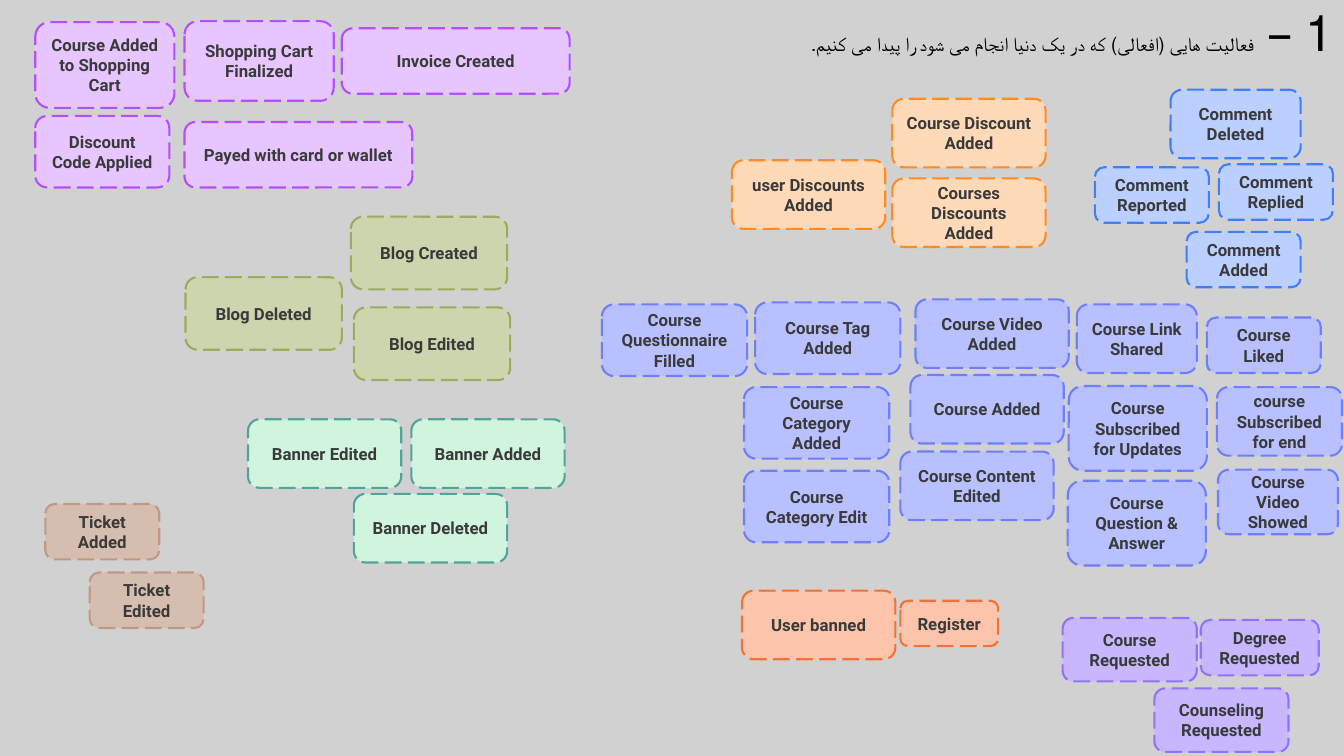
from dataclasses import dataclass

from pptx import Presentation
from pptx.dml.color import RGBColor
from pptx.enum.dml import MSO_LINE
from pptx.enum.shapes import MSO_SHAPE
from pptx.enum.text import MSO_ANCHOR, PP_ALIGN
from pptx.util import Inches, Pt


@dataclass(frozen=True)
class Theme:
    background: str = "D1D1D1"
    note_text: str = "3A3A3A"
    title_text: str = "000000"
    note_font: str = "Roboto"
    title_font: str = "Calibri"
    note_size: int = 12
    number_size: int = 36
    title_size: int = 14
    outline_width: float = 1.5
    # Each pair is fill, outline
    checkout: tuple = ("E7C6FF", "B44FFF")
    blog: tuple = ("CCD5AE", "9AAC60")
    banner: tuple = ("D0F4DE", "52A49A")
    ticket: tuple = ("D5BDAF", "BE9984")
    discount: tuple = ("FFDAB9", "FF8B21")
    comment: tuple = ("BBD0FF", "437DFF")
    course: tuple = ("B8C0FF", "6D7EFF")
    user: tuple = ("FBC4AB", "F67136")
    request: tuple = ("C8B6FF", "9371FF")


THEME = Theme()

# Note sizes shared by several notes: width, height
COMPACT = (1.13, 0.55)
REQUEST = (1.33, 0.63)
MEDIUM = (1.44, 0.71)
LARGE = (1.52, 0.68)
BLOG = (1.55, 0.72)
TALL = (1.37, 0.84)
WIDE = (2.26, 0.65)

# Each cluster: colours, (left, top), notes as (text, x offset, y offset, size)
CLUSTERS = [
    (THEME.checkout, (0.35, 0.21), [
        ("Course Added to Shopping Cart", 0, 0.01, (1.38, 0.85)),
        ("Shopping Cart Finalized", 1.48, 0, (1.48, 0.79)),
        ("Invoice Created", 3.04, 0.07, WIDE),
        ("Discount Code Applied", 0, 0.94, (1.33, 0.71)),
        ("Payed with card or wallet", 1.48, 1, WIDE),
    ]),
    (THEME.blog, (1.84, 2.15), [
        ("Blog Created", 1.64, 0, BLOG),
        ("Blog Edited", 1.67, 0.9, BLOG),
        ("Blog Deleted", 0, 0.6, BLOG),
    ]),
    (THEME.banner, (2.46, 4.16), [
        ("Banner Added", 1.62, 0, LARGE),
        ("Banner Deleted", 1.05, 0.74, LARGE),
        ("Banner Edited", 0, 0, LARGE),
    ]),
    (THEME.ticket, (0.45, 5), [
        ("Ticket Added", 0, 0, COMPACT),
        ("Ticket Edited", 0.44, 0.68, COMPACT),
    ]),
    (THEME.discount, (7.26, 0.98), [
        ("Course Discount Added", 1.59, 0, LARGE),
        ("Courses Discounts Added", 1.59, 0.79, LARGE),
        ("user Discounts Added", 0, 0.61, LARGE),
    ]),
    (THEME.comment, (10.86, 0.89), [
        ("Comment Deleted", 0.75, 0, (1.29, 0.68)),
        ("Comment Reported", 0, 0.77, COMPACT),
        ("Comment Replied", 1.23, 0.74, COMPACT),
        ("Comment Added", 0.91, 1.41, COMPACT),
    ]),
    (THEME.course, (5.97, 2.97), [
        ("Course Questionnaire Filled", 0, 0.05, MEDIUM),
        ("Course Tag Added", 1.52, 0.03, MEDIUM),
        ("Course Category Added", 1.41, 0.87, MEDIUM),
        ("Course Category Edit", 1.41, 1.7, MEDIUM),
        ("Course Video Added", 3.11, 0, LARGE),
        ("Course Added", 3.06, 0.75, LARGE),
        ("Course Content Edited", 2.96, 1.51, LARGE),
        ("Course Link Shared", 4.71, 0.05, (1.19, 0.68)),
        ("Course Subscribed for Updates", 4.63, 0.86, TALL),
        ("Course Question & Answer", 4.62, 1.8, TALL),
        ("Course Liked", 6, 0.18, COMPACT),
        ("course Subscribed for end", 6.1, 0.87, (1.24, 0.68)),
        ("Course Video Showed", 6.11, 1.69, (1.19, 0.64)),
    ]),
    (THEME.user, (7.36, 5.86), [
        ("User banned", 0, 0, LARGE),
        ("Register", 1.57, 0.1, (0.97, 0.45)),
    ]),
    (THEME.request, (10.54, 6.13), [
        ("Course Requested", 0, 0, REQUEST),
        ("Degree Requested", 1.37, 0.02, (1.17, 0.55)),
        ("Counseling Requested", 0.91, 0.7, REQUEST),
    ]),
]


def style_font(font, name, color):
    font.name = name
    font.color.rgb = RGBColor.from_string(color)


def add_note(slide, text, left, top, size, colors):
    fill, outline = colors
    note = slide.shapes.add_shape(
        MSO_SHAPE.FLOWCHART_ALTERNATE_PROCESS,
        Inches(left), Inches(top), *map(Inches, size))
    note.shadow.inherit = False
    note.fill.solid()
    note.fill.fore_color.rgb = RGBColor.from_string(fill)
    note.line.color.rgb = RGBColor.from_string(outline)
    note.line.width = Pt(THEME.outline_width)
    note.line.dash_style = MSO_LINE.LONG_DASH
    note.text_frame.word_wrap = True
    note.text_frame.vertical_anchor = MSO_ANCHOR.MIDDLE
    label = note.text_frame.paragraphs[0]
    label.text = text
    label.alignment = PP_ALIGN.CENTER
    label.font.size = Pt(THEME.note_size)
    label.font.bold = True
    style_font(label.font, THEME.note_font, THEME.note_text)


def add_cluster(slide, colors, origin, notes):
    left, top = origin
    for text, dx, dy, size in notes:
        add_note(slide, text, left + dx, top + dy, size, colors)


def add_title(slide, left, top, width, height):
    """Place the right-to-left heading with its large step number."""
    title = slide.shapes.add_textbox(*map(Inches, (left, top, width, height)))
    title.text_frame.word_wrap = True
    heading = title.text_frame.paragraphs[0]
    heading.alignment = PP_ALIGN.RIGHT
    heading._p.get_or_add_pPr().set("rtl", "1")
    style_font(heading.font, THEME.title_font, THEME.title_text)
    for text, size in [
        ("1 – ", THEME.number_size),
        ("فعالیت هایی (افعالی) که در یک دنیا انجام می شود را پیدا می کنیم.",
         THEME.title_size),
    ]:
        part = heading.add_run()
        part.text = text
        part.font.size = Pt(size)


def main():
    deck = Presentation()
    deck.slide_width, deck.slide_height = Inches(13.33), Inches(7.5)
    slide = deck.slides.add_slide(deck.slide_layouts[6])
    slide.background.fill.solid()
    slide.background.fill.fore_color.rgb = RGBColor.from_string(THEME.background)
    for colors, origin, notes in CLUSTERS:
        add_cluster(slide, colors, origin, notes)
    add_title(slide, 5.03, -0.04, 8.29, 0.71)
    deck.save("out.pptx")


if __name__ == "__main__":
    main()
